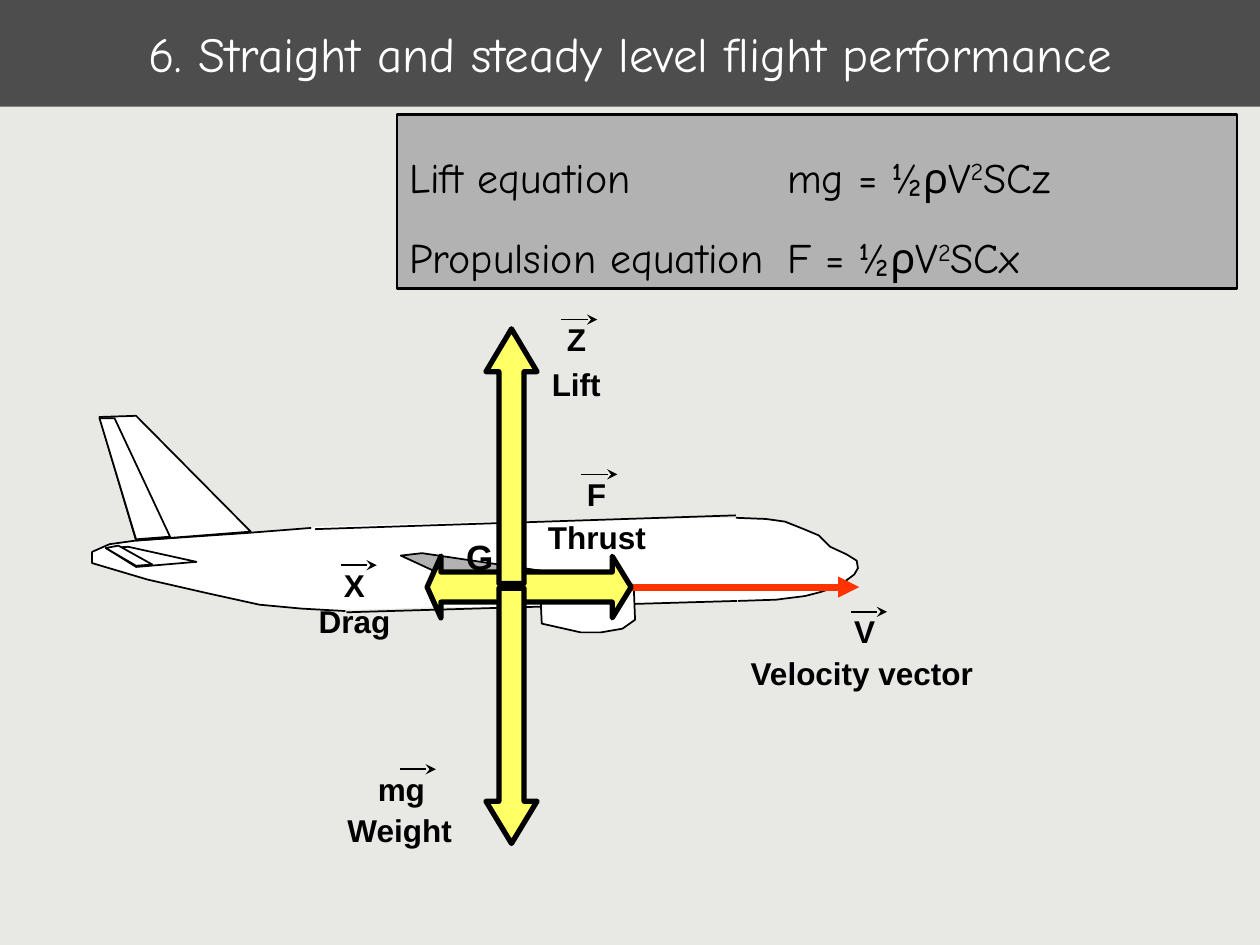
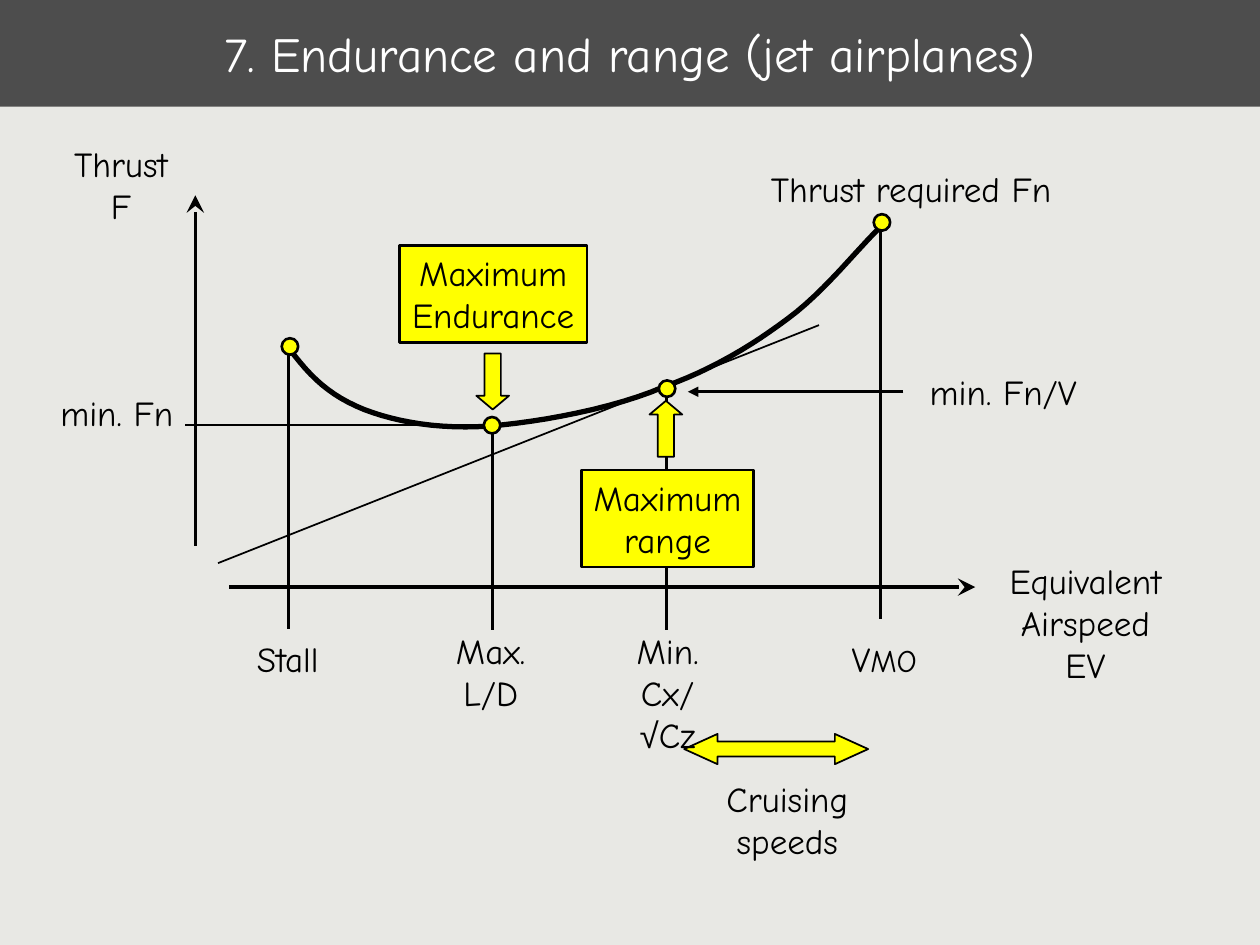
from lxml import etree
from pptx import Presentation
from pptx import util as u
from pptx.dml.color import RGBColor
from pptx.enum import shapes, text
from pptx.oxml.ns import qn

Pt = u.Pt
MSO = shapes.MSO_SHAPE
AL = text.PP_ALIGN
THEME = {
    "bg": "E8E8E4", "band": "4D4D4D", "black": "000000", "white": "FFFFFF",
    "grey": "B2B2B2", "force": "FFFF66", "mark": "FFFF00", "velocity": "FF3300",
    "title": {"name": "Comic Neue", "size": Pt(28)},
    "equation": {"name": "Comic Neue", "size": Pt(24)},
    "note": {"name": "Comic Neue", "size": Pt(20)},
    "vector": {"name": "Arial", "size": Pt(18), "bold": True},
    "centre": {"name": "Arial", "size": Pt(20), "bold": True},
}


def draw(s, pts, width=1, line="black", fill=None, closed=False, tail=None, head="med"):
    pts = [(Pt(x), Pt(y)) for x, y in pts]
    if len(pts) == 2:
        sp = s.shapes.add_connector(shapes.MSO_CONNECTOR.STRAIGHT, *pts[0], *pts[1])
    else:
        fb = s.shapes.build_freeform(*pts[0], scale=1.0)
        fb.add_line_segments(pts[1:], close=closed)
        sp = fb.convert_to_shape()
        sp.shadow.inherit = False
        if fill:
            sp.fill.solid()
            sp.fill.fore_color.rgb = RGBColor.from_string(THEME[fill])
        else:
            sp.fill.background()
    if not width:
        sp.line.fill.background()
        return
    sp.line.color.rgb = RGBColor.from_string(THEME[line])
    sp.line.width = Pt(width)
    if len(pts) == 2:
        if tail:
            etree.SubElement(sp.line._get_or_add_ln(), qn("a:tailEnd"),
                             type=tail, w=head, len=head)
        etree.SubElement(sp._element.spPr, qn("a:effectLst"))


def block(s, box, paras=(), style="note", kind=None, fill=None, width=0, adj=(),
          colour="black", align=None, wrap=False, anchor=text.MSO_ANCHOR.TOP,
          fit=text.MSO_AUTO_SIZE.SHAPE_TO_FIT_TEXT, spacing=None, tabs=()):
    box = [Pt(v) for v in box]
    if kind is None:
        sp = s.shapes.add_textbox(*box)
    else:
        sp = s.shapes.add_shape(kind, *box)
        sp.shadow.inherit = False
        sp.fill.solid()
        sp.fill.fore_color.rgb = RGBColor.from_string(THEME[fill])
        if width:
            sp.line.color.rgb = RGBColor.from_string(THEME["black"])
            sp.line.width = Pt(width)
        else:
            sp.line.fill.background()
        for i, v in enumerate(adj):
            sp.adjustments[i] = v
    if not paras:
        return
    if isinstance(paras, str):
        paras = [[line] for line in paras.split("\n")]
    if align is None:
        align = AL.CENTER if len(paras) > 1 else AL.LEFT
    tf = sp.text_frame
    slack = 0 if wrap else 3
    for key, value in {"word_wrap": wrap, "auto_size": fit, "vertical_anchor": anchor,
                       "margin_left": Pt(7.2 - slack * (align == AL.CENTER)),
                       "margin_right": Pt(7.2 - slack)}.items():
        setattr(tf, key, value)
    for i, runs in enumerate(paras):
        p = tf.add_paragraph() if i else tf.paragraphs[0]
        p.alignment = align
        if spacing:
            p.line_spacing = spacing
        if tabs:
            stops = etree.SubElement(p._p.get_or_add_pPr(), qn("a:tabLst"))
            for x in tabs:
                etree.SubElement(stops, qn("a:tab"), pos=str(Pt(x)), algn="l")
        for run in runs:
            if run == "\n":
                p.add_line_break()
                continue
            words, extra = (run, {}) if isinstance(run, str) else run
            r = p.add_run()
            r.text = words
            r.font.color.rgb = RGBColor.from_string(THEME[colour])
            for key, value in {**THEME[style], **extra}.items():
                if key == "baseline":
                    r._r.get_or_add_rPr().set(key, value)
                else:
                    setattr(r.font, key, value)


prs = Presentation()
prs.slide_width, prs.slide_height = Pt(720), Pt(540)
for title in ("6. Straight and steady level flight performance",
              "7. Endurance and range (jet airplanes)"):
    s = prs.slides.add_slide(prs.slide_layouts[6])
    s.background.fill.solid()
    s.background.fill.fore_color.rgb = RGBColor.from_string(THEME["bg"])
    block(s, (0, 0, 720, 61), title, "title", MSO.RECTANGLE, "band", colour="white",
          align=AL.CENTER, wrap=True, anchor=text.MSO_ANCHOR.MIDDLE,
          fit=text.MSO_AUTO_SIZE.NONE)
flight, endurance = prs.slides

fuselage = [(180, 301), (279.4, 298.1), (367.2, 296.6), (409.7, 295.9), (426.2, 295.9),
            (426.2, 342.7), (356.4, 344.9), (278.6, 347), (248.4, 347), (226.8, 347.8),
            (201.6, 348.5), (187.9, 347.8), (162, 331.9), (164.9, 309.6)]
roof = [(420.5, 294.5), (180, 302.4)]
nose = [(420.5, 295.9), (437.8, 296.6), (448.6, 298.1), (459.4, 302.4), (468, 306),
        (474.5, 312.5), (483.8, 316.8), (489.6, 320.4), (490.3, 324.7), (488.2, 328.3),
        (479.5, 334.8), (468.7, 338.4), (460.1, 340.6), (443.5, 342.7), (421.9, 343.4)]
tail_cone = [(177.8, 301.7), (141.1, 304.6), (77.8, 308.9), (62.6, 311), (52.6, 315.4),
             (52.6, 321.8), (84.2, 331.2), (118.8, 339.1), (148.3, 345.6),
             (172.1, 347.8), (197.3, 349.2)]
belly = [(421.2, 343.4), (198, 349.9)]
fin = [(143.3, 303.8), (77.8, 237.6), (56.9, 238.3), (77.8, 308.9)]
rudder = [(97.2, 306.7), (65.5, 239), (56.9, 239), (77.8, 308.2)]
wing = [(229, 317.5), (241.2, 316.1), (352.8, 332.6), (361.4, 334.1), (357.1, 337),
        (337, 339.1), (306, 341.3), (271.4, 341.3), (266.4, 334.8)]
engine = [(362.2, 336.2), (362.9, 354.2), (355.7, 359.3), (343.4, 361.4), (331.9, 361.4),
          (309.6, 356.4), (308.9, 341.3), (325.4, 337), (347, 334.8)]
fairing = [(347, 334.1), (330.5, 331.9), (313.9, 332.6), (276.5, 333.4), (281.5, 339.1),
           (313.9, 339.8), (324.7, 337)]
stabilizer = [(112.3, 321.1), (73.4, 312.5), (60.5, 313.2), (77.8, 324)]
elevator = [(87.1, 322.6), (67.7, 311.8), (60.5, 313.2), (77.8, 323.3)]

draw(flight, fuselage, 0, fill="white", closed=True)
draw(flight, roof)
draw(flight, nose, fill="white")
draw(flight, tail_cone, fill="white")
draw(flight, belly)
for part, fill in ((fin, "white"), (rudder, "white"), (wing, "grey"), (engine, "white"),
                   (fairing, "white"), (stabilizer, "white"), (elevator, "white")):
    draw(flight, part, fill=fill, closed=True)

draw(flight, [(291.6, 335.5), (491, 335.5)], 4, "velocity", tail="triangle")
for vertical, axis, start, neck, tip, shaft, head in (
        (False, 335.5, 290.2, 252, 244.1, 8.6, 17.6),
        (False, 335.5, 293, 349.9, 360.7, 8.6, 17.6),
        (True, 292.3, 336.2, 457.9, 482, 7.2, 14.6),
        (True, 292.3, 333.4, 212.4, 187.9, 7.2, 14.6)):
    pts = [(start, -shaft), (neck, -shaft), (neck, -head), (tip, 0),
           (neck, head), (neck, shaft), (start, shaft)]
    pts = [(axis + b, a) if vertical else (a, axis + b) for a, b in pts]
    draw(flight, pts, 3, fill="force", closed=True)

for symbol, x, y, w in (("Z", 316.8, 179.3, 25.2), ("V", 481, 346.3, 26.6),
                        ("X", 189.4, 319.7, 26.6), ("F", 328.3, 267.8, 25.2),
                        ("mg", 208.8, 436.3, 41)):
    right = x + w - 0.7
    draw(flight, [(right - 20.5, y + 3.3), (right, y + 3.3)], tail="stealth")
    block(flight, (x, y, w, 29), symbol, "vector")
for name, x, y, w in (("Lift", 308.2, 205.2, 42.5), ("Thrust", 306, 292.3, 70.6),
                      ("Drag", 175, 340.6, 55.4), ("Weight", 191.5, 460.1, 74.9),
                      ("Velocity vector", 421.9, 370.1, 142.6)):
    block(flight, (x, y, w, 29), name, "vector")
block(flight, (259.2, 302.4, 29.5, 31.7), "G", "centre")

square = ("2", {"baseline": "30000"})
block(flight, (226.8, 65.5, 480.2, 99.4),
      [["Lift equation \t\tmg = ½ρV", square, "SCz"],
       ["Propulsion equation \tF = ½ρV", square, "SCx"]],
      "equation", MSO.RECTANGLE, "grey", 1.5, align=AL.LEFT, wrap=True,
      spacing=1.6, tabs=range(72, 505, 72))

for start, end, width, tail, head in (
        ((131, 335.5), (557.3, 335.5), 2, "stealth", "lg"),
        ((111.6, 311.8), (111.6, 111.6), 2, "stealth", "lg"),
        ((105.8, 242.8), (275.8, 242.8), 1, None, None),
        ((124.6, 321.8), (468, 185.8), 1, None, None),
        ((516.2, 223.9), (393.1, 223.9), 1.5, "triangle", "med")):
    draw(endurance, [start, end], width, tail=tail, head=head)

controls = [(164.9, 198.7), (177.8, 216), (188.6, 226.1), (208.1, 234),
            (226.8, 241.2), (251.3, 245.5), (280.1, 243.4),
            (308.2, 241.2), (351.4, 233.3), (379.4, 221),
            (407.5, 211), (429.8, 197.3), (450, 182.2),
            (470.9, 167), (491, 141.1), (502.6, 130.3)]
steps = 12
thrust_curve = controls[:1]
for i in range(0, len(controls) - 1, 3):
    for k in range(1, steps + 1):
        t = k / steps
        weights = ((1 - t) ** 3, 3 * t * (1 - t) ** 2, 3 * t * t * (1 - t), t ** 3)
        thrust_curve.append([sum(w * c for w, c in zip(weights, axis))
                             for axis in zip(*controls[i:i + 4])])
draw(endurance, thrust_curve, 3)

dot = 9.4
for drop_x, dot_x, dot_y, foot in ((164.9, 165.7, 198, 359.3), (281.5, 281.2, 243, 360),
                                   (380.9, 381.2, 222.1, 360), (503.3, 504, 127.1, 353.5)):
    draw(endurance, [(drop_x, dot_y), (drop_x, foot)], 1.5)
    block(endurance, (dot_x - dot / 2, dot_y - dot / 2, dot, dot),
          kind=MSO.OVAL, fill="mark", width=1.5)

for words, box in (("Maximum\nEndurance", (228.2, 140.4, 107.3, 55.4)),
                   ("Maximum\nrange", (332.2, 268.6, 98.6, 55.4))):
    block(endurance, box, words, "note", MSO.RECTANGLE, "mark", 1.5)
for kind, box, adj in ((MSO.DOWN_ARROW, (272.2, 202, 18.7, 32), (0.5, 0.42)),
                       (MSO.UP_ARROW, (371.2, 229, 18.7, 32), (0.5, 0.42)),
                       (MSO.LEFT_RIGHT_ARROW, (391, 419.4, 105.1, 17.3), (0.5, 1.1))):
    block(endurance, box, kind=kind, fill="mark", width=1, adj=adj)

for words, box in (
        ("Thrust\nF", (35.3, 77.8, 67.7, 54.7)),
        ("Equivalent\nAirspeed\nEV", (569.5, 316.1, 101.5, 79.2)),
        ("Thrust required Fn", (433.4, 92.2, 175.7, 31.7)),
        ("min. Fn", (27.4, 220.3, 79.2, 31)),
        ("min. Fn/V", (524.2, 208.1, 98.6, 31)),
        ("Stall", (139.7, 360.7, 50.4, 31)),
        ("Max.\nL/D", (253.4, 356.4, 54, 54.7)),
        ([["Min."], ["Cx/", "\n", ("√", {"name": "Arial"}), "Cz"]],
         (343.4, 356.4, 76.3, 54.7)),
        ([["V", ("MO", {"size": Pt(18)})]], (479.5, 360.7, 51.8, 31)),
        ("Cruising\nspeeds", (408.2, 440.6, 83.5, 55.4))):
    block(endurance, box, words)

prs.save("out.pptx")
